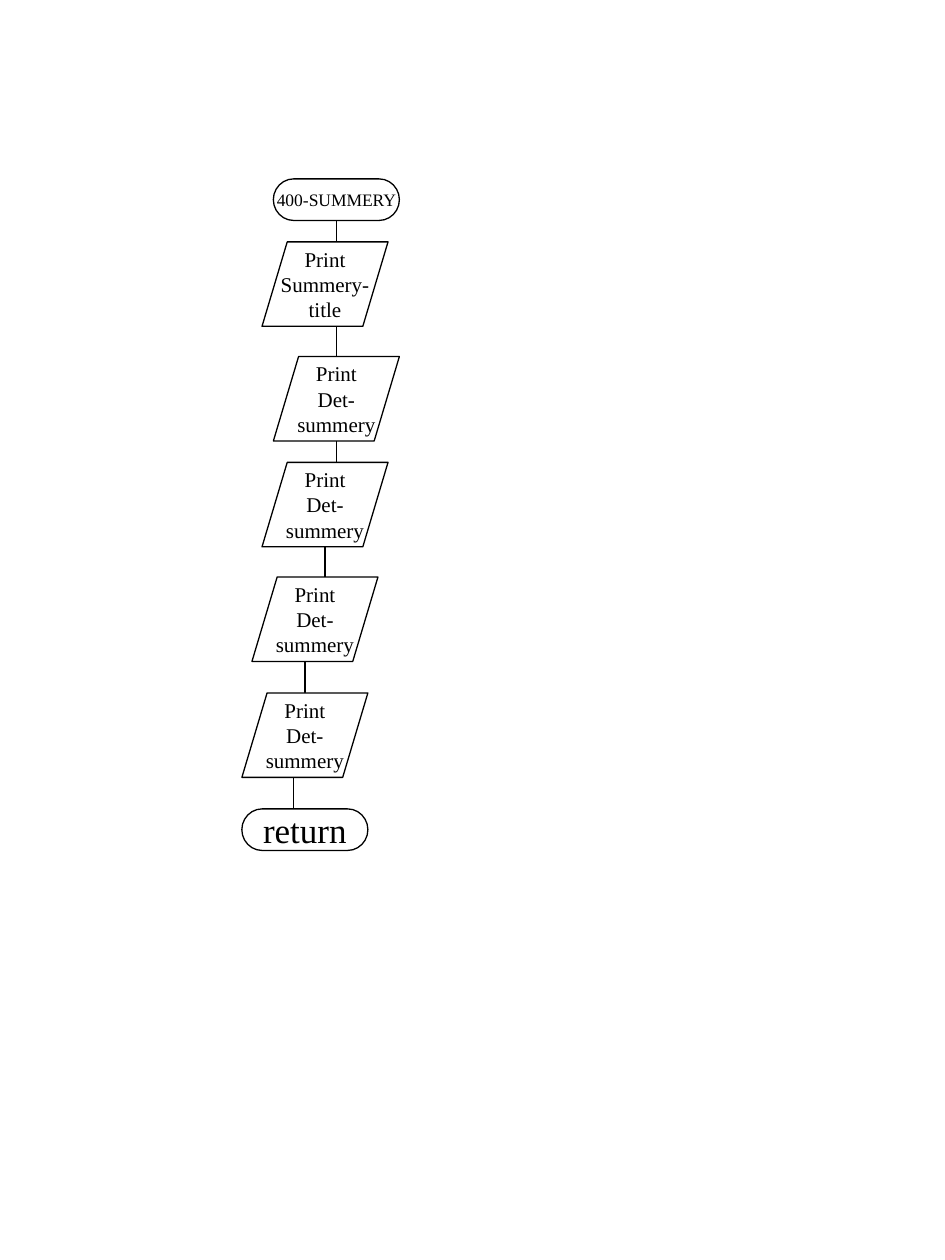
import pptx
import pptx.dml.color
import pptx.enum.shapes
import pptx.enum.text
import pptx.oxml.ns
import pptx.util
from pptx.util import Inches
from lxml import etree

INK = "000000"
PAPER = "FFFFFF"
FONT = "Times New Roman"
LINE_WIDTH = 0.75

STEP_WIDTH = 1
TERMINAL_HEIGHT = 0.33
PRINT_HEIGHT = 0.67

SHAPES = pptx.enum.shapes.MSO_SHAPE
DETAIL = ["Print", "Det-", "summery"]

# Print steps: left, top, lines of text
PRINT_STEPS = [
    (2.08, 1.92, ["Print", "Summery-", "title"]),
    (2.17, 2.83, DETAIL),
    (2.08, 3.67, DETAIL),
    (2, 4.58, DETAIL),
    (1.92, 5.5, DETAIL),
]

# Vertical links: x, top, bottom
LINKS = [
    (2.67, 1.75, 1.92),
    (2.67, 2.58, 2.83),
    (2.67, 3.5, 3.75),
    (2.58, 4.33, 4.58),
    (2.42, 5.25, 5.5),
    (2.33, 6.17, 6.42),
]


def color(value):
    return pptx.dml.color.RGBColor.from_string(value)


def set_line(line):
    line.color.rgb = color(INK)
    line.width = pptx.util.Pt(LINE_WIDTH)


def write_lines(frame, lines, size=12, font=FONT, ink=INK):
    """Write centred lines, one paragraph each."""
    frame.word_wrap = False
    frame.vertical_anchor = pptx.enum.text.MSO_ANCHOR.MIDDLE
    for index, text in enumerate(lines):
        para = frame.add_paragraph() if index else frame.paragraphs[0]
        para.alignment = pptx.enum.text.PP_ALIGN.CENTER
        span = para.add_run()
        span.text = text
        span.font.size = pptx.util.Pt(size)
        span.font.name = font
        span.font.color.rgb = color(ink)


def add_step(page, kind, left, top, height, lines, size=12):
    box = page.shapes.add_shape(
        kind, Inches(left), Inches(top), Inches(STEP_WIDTH), Inches(height))
    box.shadow.inherit = False
    box.fill.solid()
    box.fill.fore_color.rgb = color(PAPER)
    set_line(box.line)
    write_lines(box.text_frame, lines, size=size)


def add_link(page, x, top, bottom):
    link = page.shapes.add_connector(
        pptx.enum.shapes.MSO_CONNECTOR.STRAIGHT,
        Inches(x), Inches(top), Inches(x), Inches(bottom))
    set_line(link.line)
    # An empty effect list turns the theme shadow off
    etree.SubElement(link._element.spPr, pptx.oxml.ns.qn("a:effectLst"))


def main():
    deck = pptx.Presentation()
    deck.slide_width = Inches(7.5)
    deck.slide_height = Inches(10)
    page = deck.slides.add_slide(deck.slide_layouts[6])

    # Links lie behind the steps
    for x, top, bottom in LINKS:
        add_link(page, x, top, bottom)

    # Start, print steps, end
    add_step(page, SHAPES.FLOWCHART_TERMINATOR, 2.17, 1.42,
             TERMINAL_HEIGHT, ["400-SUMMERY"], size=10)
    for left, top, lines in PRINT_STEPS:
        add_step(page, SHAPES.FLOWCHART_DATA, left, top, PRINT_HEIGHT, lines)
    add_step(page, SHAPES.FLOWCHART_TERMINATOR, 1.92, 6.42,
             TERMINAL_HEIGHT, ["return"], size=20)

    deck.save("out.pptx")


if __name__ == "__main__":
    main()
